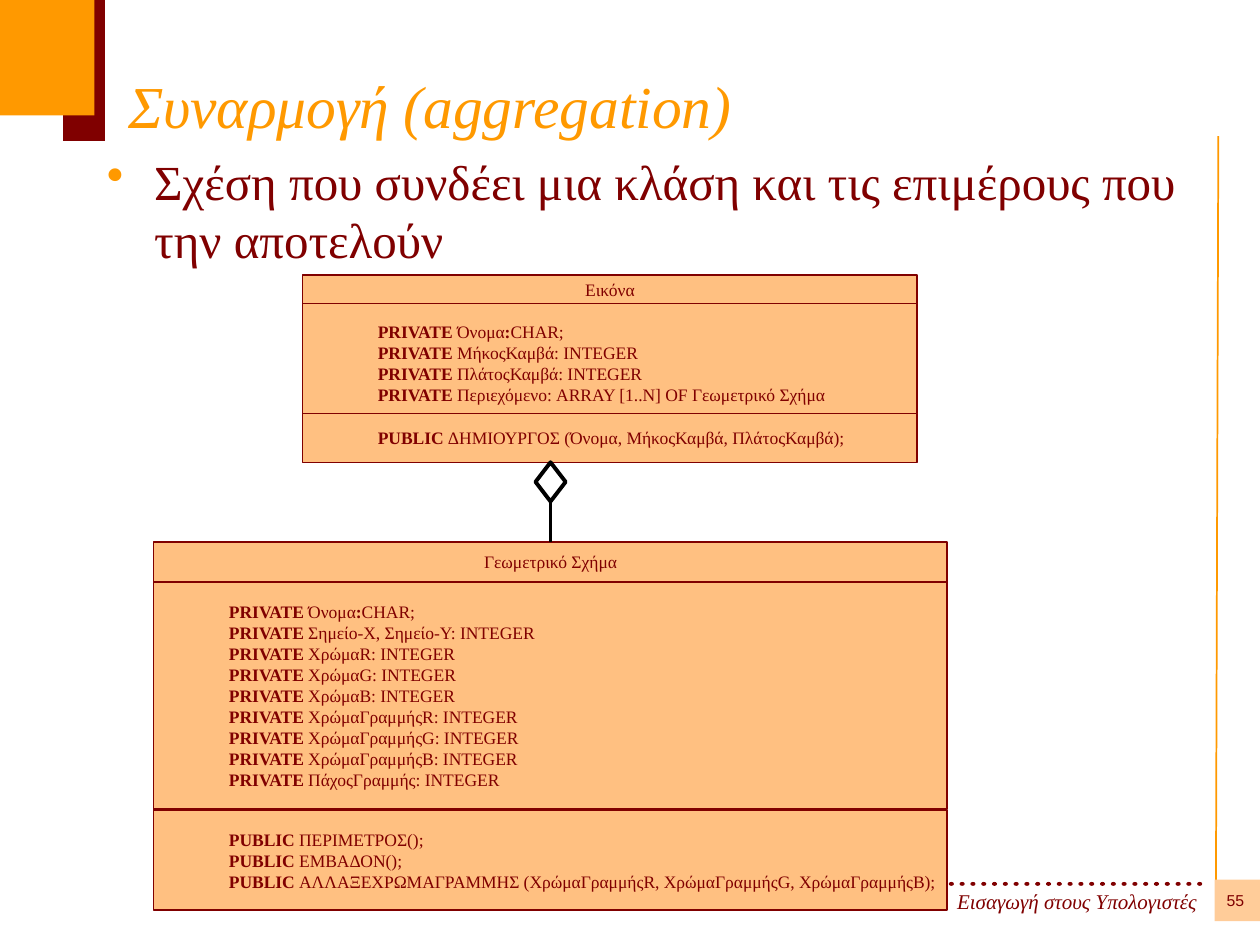
"""Build the slide on aggregation between two classes."""
from lxml.etree import SubElement
from pptx import Presentation
from pptx.dml.color import RGBColor
from pptx.enum.shapes import MSO_CONNECTOR, MSO_SHAPE
from pptx.enum.text import MSO_ANCHOR, PP_ALIGN
from pptx.oxml.ns import qn
from pptx.util import Pt

COLORS = {
    "orange": "FF9900",
    "maroon": "800000",
    "peach": "FFCC99",
    "class": "FFC081",
    "black": "000000",
    "white": "FFFFFF",
}
SERIF = "Times New Roman"
MEMBER = {"name": SERIF, "size": Pt(10)}
PICTURE_FIELDS = [
    "PRIVATE| Όνομα|:|CHAR;",
    "PRIVATE| ΜήκοςΚαμβά: INTEGER",
    "PRIVATE| ΠλάτοςΚαμβά: INTEGER",
    "PRIVATE| Περιεχόμενο: ARRAY [1..N] OF Γεωμετρικό Σχήμα",
]
PICTURE_METHODS = ["PUBLIC |ΔΗΜΙΟΥΡΓΟΣ (Όνομα, ΜήκοςΚαμβά, ΠλάτοςΚαμβά);"]
FIGURE_FIELDS = [
    "PRIVATE| Όνομα|:|CHAR;",
    "PRIVATE| Σημείο-Χ, Σημείο-Υ: INTEGER",
    "PRIVATE| ΧρώμαR: INTEGER",
    "PRIVATE| ΧρώμαG: INTEGER",
    "PRIVATE| ΧρώμαB: INTEGER",
    "PRIVATE| ΧρώμαΓραμμήςR: INTEGER",
    "PRIVATE| ΧρώμαΓραμμήςG: INTEGER",
    "PRIVATE| ΧρώμαΓραμμήςB: INTEGER",
    "PRIVATE| ΠάχοςΓραμμής: INTEGER",
]
FIGURE_METHODS = [
    "PUBLIC |ΠΕΡΙΜΕΤΡΟΣ();",
    "PUBLIC |ΕΜΒΑΔΟΝ();",
    "PUBLIC |ΑΛΛΑΞΕΧΡΩΜΑΓΡΑΜΜΗΣ (ΧρώμαΓραμμήςR, ΧρώμαΓραμμήςG, ΧρώμαΓραμμήςB);",
]


def color(key):
    """Return a named colour."""
    return RGBColor.from_string(COLORS[key])


def apply(target, values):
    """Set every attribute in a dict of format values."""
    for name, value in values.items():
        setattr(target, name, value)


def add_span(para, text, key="maroon", **values):
    """Add a formatted run to a paragraph."""
    span = para.add_run()
    span.text = text
    span.font.color.rgb = color(key)
    apply(span.font, values)


def add_box(slide, kind, place, fill, line=None, width=1):
    """Add a filled preset shape, outlined if a line colour is given."""
    box = slide.shapes.add_shape(kind, *map(Pt, place))
    box.shadow.inherit = False
    box.fill.solid()
    box.fill.fore_color.rgb = color(fill)
    if line:
        box.line.color.rgb = color(line)
        box.line.width = Pt(width)
    else:
        box.line.fill.background()
    return box


def add_line(slide, start, end, key, width):
    """Add a straight connector without a shadow."""
    line = slide.shapes.add_connector(MSO_CONNECTOR.STRAIGHT, *map(Pt, start + end))
    line.line.color.rgb = color(key)
    line.line.width = Pt(width)
    SubElement(line.element.spPr, qn("a:effectLst"))
    return line


def add_label(slide, place, text, frame_values, align, **font):
    """Add a text box holding one paragraph."""
    frame = slide.shapes.add_textbox(*map(Pt, place)).text_frame
    apply(frame, {"word_wrap": True, **frame_values})
    para = frame.paragraphs[0]
    para.alignment = align
    add_span(para, text, **font)
    return para


def add_heading(slide, text):
    """Place and format the title placeholder."""
    title = slide.shapes.title
    apply(title, dict(zip(("left", "top", "width", "height"), map(Pt, (66, 36, 618, 48)))))
    title.text_frame.vertical_anchor = MSO_ANCHOR.BOTTOM
    para = title.text_frame.paragraphs[0]
    para.alignment = PP_ALIGN.LEFT
    add_span(para, text, "orange", name=SERIF, size=Pt(34), italic=True)


def add_bullet(slide, place, text):
    """Add a bulleted statement with a hanging indent."""
    para = add_label(slide, place, text, {}, PP_ALIGN.LEFT, name=SERIF, size=Pt(28))
    para.space_before = Pt(5.6)
    properties = para._p.get_or_add_pPr()
    properties.set("marL", str(Pt(27)))
    properties.set("indent", str(Pt(-27)))
    bullet_color = SubElement(properties, qn("a:buClr"))
    SubElement(bullet_color, qn("a:srgbClr"), val=COLORS["orange"])
    SubElement(properties, qn("a:buChar"), char="•")


def add_section(slide, place, members, indent=36, align=PP_ALIGN.LEFT):
    """Add a class compartment, where bars in a member toggle bold text."""
    box = add_box(slide, MSO_SHAPE.RECTANGLE, place, "class", "maroon")
    frame = box.text_frame
    apply(frame, {"word_wrap": True, "vertical_anchor": MSO_ANCHOR.MIDDLE,
                  "margin_right": Pt(0 if indent else 7.2)})
    for index, member in enumerate(members):
        para = frame.add_paragraph() if index else frame.paragraphs[0]
        para.alignment = align
        para._p.get_or_add_pPr().set("marL", str(Pt(indent)))
        for position, text in enumerate(member.split("|")):
            add_span(para, text, bold=bool(indent) and position % 2 == 0, **MEMBER)
    return box


def add_class(slide, left, width, rows, name, fields, methods):
    """Add the three compartments of a class and return its header."""
    places = [(left, top, width, height) for top, height in rows]
    header = add_section(slide, places[0], [name], 0, PP_ALIGN.CENTER)
    add_section(slide, places[1], fields)
    add_section(slide, places[2], methods)
    return header


def add_frame(slide):
    """Add the corner blocks, side rule, dotted rule and footer."""
    add_line(slide, (694.8, 514), (696.2, 77.8), "orange", 1)
    add_box(slide, MSO_SHAPE.RECTANGLE, (36, 0, 24, 80.6), "maroon")
    add_box(slide, MSO_SHAPE.RECTANGLE, (0, 0, 54, 66), "orange")
    for index in range(24):
        add_box(slide, MSO_SHAPE.OVAL, (542.2 + 6.17 * index, 504, 2.9, 2.2), "maroon")
    add_label(slide, (54, 504, 630, 21.6), "Εισαγωγή στους Υπολογιστές",
              {"margin_left": 0, "margin_right": 0}, PP_ALIGN.RIGHT,
              name=SERIF, size=Pt(12), italic=True)
    add_box(slide, MSO_SHAPE.RECTANGLE, (694.1, 502.6, 25.9, 23.8), "peach")
    margins = dict.fromkeys(("margin_left", "margin_top", "margin_right", "margin_bottom"), 0)
    add_label(slide, (694.8, 502.6, 22.3, 23.8), "55",
              {"vertical_anchor": MSO_ANCHOR.MIDDLE, **margins}, PP_ALIGN.CENTER,
              name="Arial", size=Pt(9))


def main():
    """Build and save the deck."""
    deck = Presentation()
    apply(deck, {"slide_width": Pt(720), "slide_height": Pt(540)})
    page = deck.slides.add_slide(deck.slide_layouts[5])
    add_frame(page)
    add_heading(page, "Συναρμογή (aggregation)")
    add_bullet(page, (54, 82.8, 630, 378),
               "Σχέση που συνδέει μια κλάση και τις επιμέρους που την αποτελούν")
    add_class(page, 172.8, 351.4, [(157, 16.9), (173.5, 67.7), (236.2, 28.1)],
              "Εικόνα", PICTURE_FIELDS, PICTURE_METHODS)
    figure = add_class(page, 87.8, 453.6, [(309.6, 23), (332.6, 129.6), (463, 56.9)],
                       "Γεωμετρικό Σχήμα", FIGURE_FIELDS, FIGURE_METHODS)
    link = add_line(page, (314.6, 264.2), (314.6, 309.6), "black", 2.25)
    link.end_connect(figure, 0)
    diamond = add_box(page, MSO_SHAPE.DIAMOND, (306, 264.2, 17.2, 22.4), "white", "black", 2.25)
    link.begin_connect(diamond, 0)
    deck.save("out.pptx")


if __name__ == "__main__":
    main()
